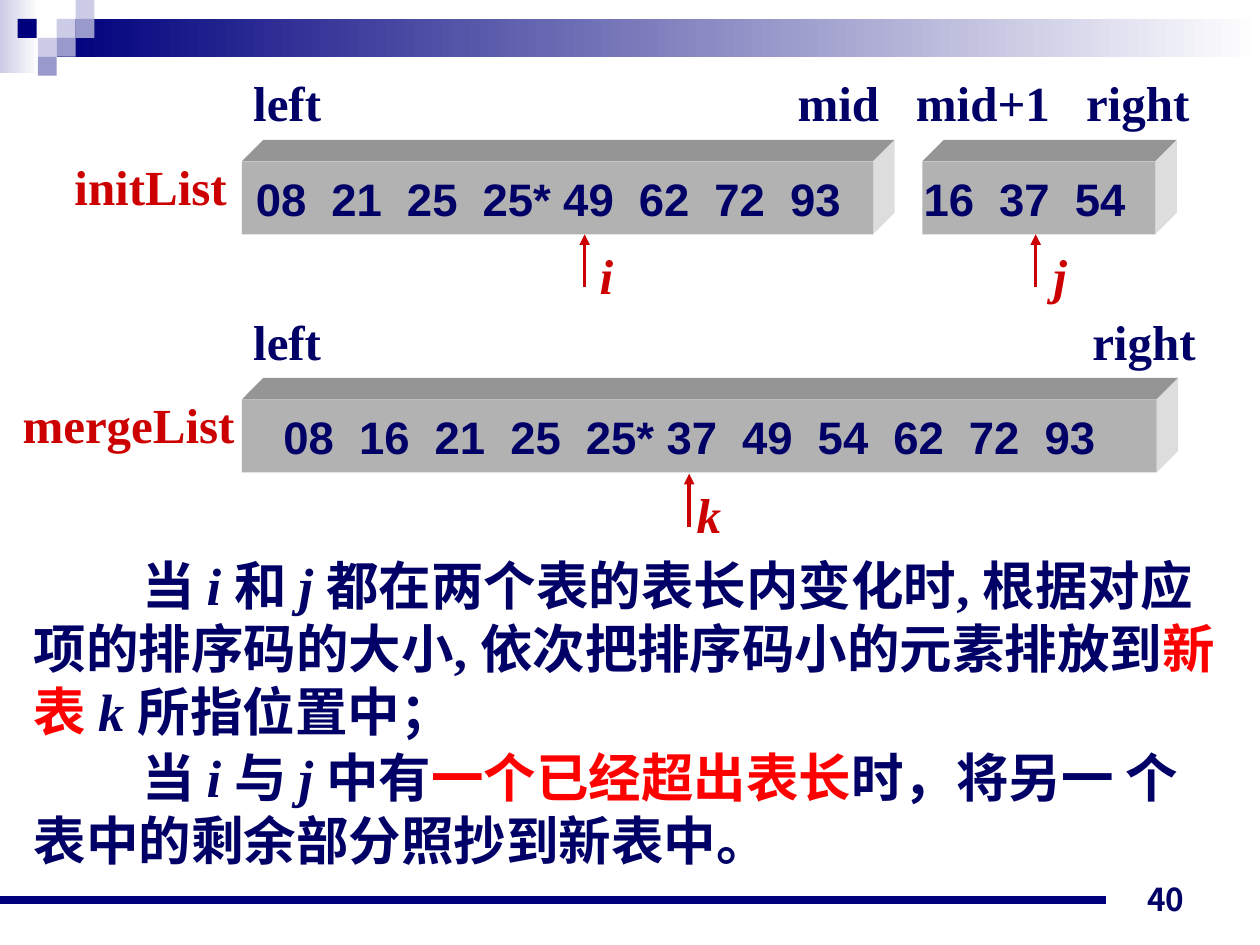
from lxml import etree
from pptx import Presentation
from pptx.dml.color import RGBColor
from pptx.enum.shapes import MSO_CONNECTOR, MSO_SHAPE
from pptx.enum.text import MSO_ANCHOR, PP_ALIGN
from pptx.oxml.ns import qn
from pptx.util import Inches, Pt

RECT, STRAIGHT = MSO_SHAPE.RECTANGLE, MSO_CONNECTOR.STRAIGHT
LEFT, CENTER, RIGHT = PP_ALIGN.LEFT, PP_ALIGN.CENTER, PP_ALIGN.RIGHT
TOP, MIDDLE, BOTTOM = MSO_ANCHOR.TOP, MSO_ANCHOR.MIDDLE, MSO_ANCHOR.BOTTOM

NAVY, INK, CRIMSON, RED = "00007D", "000066", "CC0000", "FF0000"
PALE, LILAC, WHITE = "CCCCE6", "9999CC", "FFFFFF"
FRONT, LID, SIDE = "B2B2B2", "959595", "DDDDDD"
SERIF, SANS, CJK = "Times New Roman", "Arial", "Noto Sans CJK JP"
DEPTH, BAR_H, LABEL_H = 0.17, 0.58, 0.57
PITCH, STAR_PITCH = 0.6, 0.64

GRADIENTS = [((0, 0, 0.31, 0.58), PALE), ((0.45, 0.15, 9.55, 0.3), NAVY)]
SQUARES = [(0.45, 0.15, PALE), (0.6, 0, PALE), (0.6, 0.15, LILAC), (0.3, 0.3, PALE),
           (0.14, 0.15, NAVY), (0.45, 0.3, LILAC), (0.3, 0.45, LILAC)]
# left, top, width, left of first number, numbers
BARS = [(1.92, 1.28, 5.01, 2.03, "08 21 25 25* 49 62 72 93"),
        (7.32, 1.28, 1.85, 7.33, "16 37 54"),
        (1.92, 3.17, 7.26, 2.25, "08 16 21 25 25* 37 49 54 62 72 93")]
# top, colour, italic, (left, word) pairs
LABEL_ROWS = [
    (0.53, INK, False, [(2.01, "left"), (6.33, "mid"), (7.27, "mid+1"), (8.62, "right")]),
    (2.42, INK, False, [(2.01, "left"), (8.67, "right")]),
    (1.9, CRIMSON, True, [(4.76, "i"), (8.36, "j")]),
    (3.8, CRIMSON, True, [(5.53, "k")])]
LIST_NAMES = [((0.49, 1.19, 1.41, LABEL_H), "initList"),
              ((0.08, 3.08, 1.88, LABEL_H), "mergeList")]
POINTERS = [(4.64, 1.86), (8.22, 1.86), (5.47, 3.76)]
# text, colour, italic
EXPLANATION = [
    [("当 ", INK, False), ("i ", INK, True), ("和 ", INK, False), ("j ", INK, True),
     ("都在两个表的表长内变化时, 根据对应项的排序码的大小, 依次把排序码小的元素排放到", INK, False),
     ("新表 ", RED, False), ("k ", INK, True), ("所指位置中；", INK, False)],
    [("当 ", INK, False), ("i ", INK, True), ("与 ", INK, False), ("j ", INK, True),
     ("中有", INK, False), ("一个已经超出表长", RED, False),
     ("时，将另一 个表中的剩余部分照抄到新表中。", INK, False)]]

prs = Presentation()
prs.slide_width, prs.slide_height = Inches(10), Inches(7.5)
shapes = prs.slides.add_slide(prs.slide_layouts[6]).shapes


def rgb(color):
    return RGBColor.from_string(color)


def paint(sp, color):
    sp.shadow.inherit = False
    sp.fill.solid()
    sp.fill.fore_color.rgb = rgb(color)
    sp.line.fill.background()


def rect(box, color):
    sp = shapes.add_shape(RECT, *map(Inches, box))
    paint(sp, color)
    return sp


def face(points, color):
    corners = [(Inches(x), Inches(y)) for x, y in points]
    builder = shapes.build_freeform(*corners[0])
    builder.add_line_segments(corners[1:], close=True)
    paint(builder.convert_to_shape(), color)


def line(start, end, color, width):
    cx = shapes.add_connector(STRAIGHT, *map(Inches, start + end))
    cx.line.color.rgb = rgb(color)
    cx.line.width = Pt(width)
    etree.SubElement(cx._element.spPr, qn("a:effectLst"))
    return cx


def style(r, size, color, font=SERIF, italic=False):
    r.font.size, r.font.name = Pt(size), font
    r.font.bold, r.font.italic = True, italic
    r.font.color.rgb = rgb(color)
    etree.SubElement(r._r.get_or_add_rPr(), qn("a:ea"), typeface=CJK)


def write(sp, text, size, color, font=SERIF, italic=False, align=LEFT, anchor=TOP):
    tf = sp.text_frame
    tf.word_wrap, tf.vertical_anchor = True, anchor
    p = tf.paragraphs[0]
    p.text, p.alignment = text, align
    style(p.runs[0], size, color, font, italic)
    return p


def textbox(box):
    return shapes.add_textbox(*map(Inches, box))


def set_tabs(p, lefts):
    """Put one tab stop at each left after the first, measured from the first."""
    tabs = etree.SubElement(p._p.get_or_add_pPr(), qn("a:tabLst"))
    for x in lefts[1:]:
        etree.SubElement(tabs, qn("a:tab"), pos=str(Inches(x - lefts[0])), algn="l")


def add_bar(left, top, width, first, numbers):
    right, bottom = left + width, top + BAR_H
    back, lid = right + DEPTH, top - DEPTH
    face([(left, top), (left + DEPTH, lid), (back, lid), (right, top)], LID)
    face([(right, top), (back, lid), (back, bottom - DEPTH), (right, bottom)], SIDE)
    sp = rect((left, top, width, BAR_H), FRONT)
    items = numbers.split()
    lefts = [first]
    for item in items[:-1]:
        lefts.append(lefts[-1] + (STAR_PITCH if item.endswith("*") else PITCH))
    p = write(sp, "\t".join(items), 26, INK, SANS, anchor=MIDDLE)
    sp.text_frame.margin_left = Inches(first - left)
    sp.text_frame.margin_right = 0
    set_tabs(p, lefts)


for box, color in GRADIENTS:
    sp = rect(box, color)
    sp.fill.gradient()
    sp.fill.gradient_angle = 0
    for stop, stop_color in zip(sp.fill.gradient_stops, (color, WHITE)):
        stop.color.rgb = rgb(stop_color)
for x, y, color in SQUARES:
    rect((x, y, 0.15, 0.15), color)
line((0, 7.14), (8.78, 7.14), NAVY, 4.5)
write(textbox((7.17, 6.83, 2.33, 0.5)), "40", 18, INK, CJK, align=RIGHT, anchor=BOTTOM)

for bar in BARS:
    add_bar(*bar)

for top, color, italic, labels in LABEL_ROWS:
    lefts, words = zip(*labels)
    sp = textbox((lefts[0], top, lefts[-1] - lefts[0] + 1, LABEL_H))
    set_tabs(write(sp, "\t".join(words), 28, color, italic=italic), lefts)
    sp.text_frame.margin_left = 0

for box, name in LIST_NAMES:
    write(textbox(box), name, 28, CRIMSON, align=CENTER)

for x, tip in POINTERS:
    arrow = line((x, tip + 0.42), (x, tip), CRIMSON, 2)
    etree.SubElement(arrow.line._get_or_add_ln(), qn("a:tailEnd"), type="triangle")

tf = textbox((0.17, 4.34, 9.66, 2.92)).text_frame
tf.word_wrap = True
for i, runs in enumerate(EXPLANATION):
    p = tf.add_paragraph() if i else tf.paragraphs[0]
    p.line_spacing, p.space_before = Pt(36), Pt(1.5)
    p._p.get_or_add_pPr().set("indent", str(Inches(0.86)))
    for text, color, italic in runs:
        r = p.add_run()
        r.text = text
        style(r, 30, color, italic=italic)

prs.save("out.pptx")
